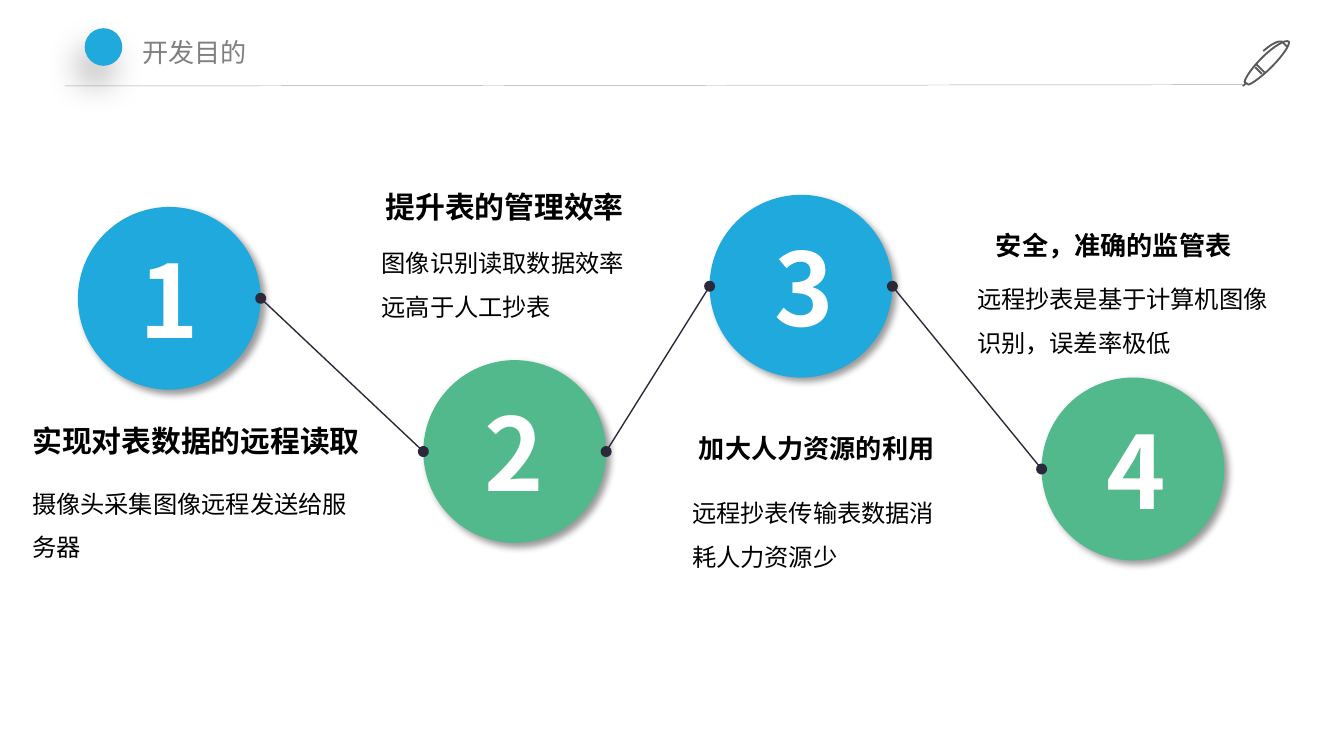
from lxml import etree
from pptx import Presentation
from pptx.dml.color import RGBColor
from pptx.enum import shapes, text
from pptx.oxml.ns import qn
from pptx.util import Inches, Pt

BLUE = RGBColor(0x20, 0xA9, 0xDD)
GREEN = RGBColor(0x52, 0xB9, 0x8C)
NAVY = RGBColor(0x2B, 0x29, 0x39)
WHITE = RGBColor(0xFF, 0xFF, 0xFF)
BLACK = RGBColor(0, 0, 0)
TITLE_GRAY = RGBColor(0x80, 0x80, 0x80)
RULE_GRAY = RGBColor(0xA6, 0xA6, 0xA6)
PEN_GRAY = RGBColor(0x59, 0x59, 0x59)
SANS = "Noto Sans CJK SC"
DIAMETER = 1.36

# Number runs; circle left and top, colour; heading left, top, width, size;
# detail left, top, width
STEPS = [
    ([("1", 54)], (0.58, 1.54), BLUE,
     "实现对表数据的远程读取", (0.17, 3.05, 2.85, 16),
     "摄像头采集图像远程发送给服务器", (0.17, 3.49, 2.6)),
    ([("2", 54)], (3.15, 2.68), GREEN,
     "提升表的管理效率", (2.8, 1.31, 2.06, 16),
     "图像识别读取数据效率远高于人工抄表", (2.77, 1.7, 2.09)),
    ([(" ", 15), ("3", 54)], (5.28, 1.45), BLUE,
     "加大人力资源的利用", (5.13, 3.13, 1.95, 14),
     "远程抄表传输表数据消耗人力资源少", (5.08, 3.56, 1.99)),
    ([(" ", 15), ("4", 54)], (7.75, 2.81), GREEN,
     "安全，准确的监管表", (7.34, 1.62, 1.96, 14),
     "远程抄表是基于计算机图像识别，误差率极低", (7.2, 1.97, 2.35)),
]

# Pen strokes in inches from the box corner: a start, then cubic curves
PEN_STROKES = [
    ((0.14, 0.26), [((0.09, 0.21),) * 3]),
    ((0.10, 0.19), [((0.16, 0.25),) * 3]),
    ((0.34, 0.02), [((0.32, 0), (0.23, 0.05), (0.14, 0.14)),
                    ((0.07, 0.21), (0.02, 0.28), (0.01, 0.32)),
                    ((0.04, 0.34),) * 3,
                    ((0.07, 0.33), (0.14, 0.28), (0.21, 0.21)),
                    ((0.30, 0.12), (0.35, 0.04), (0.34, 0.02))]),
    ((0.02, 0.33), [((0, 0.35),) * 3]),
    ((0.33, 0.06), [((0.33, 0.06), (0.31, 0.04), (0.29, 0.02)),
                    ((0.29, 0.02), (0.25, 0), (0.15, 0.09))]),
]


def add_shadow(shape, opacity, blur, distance, angle):
    shape.shadow.inherit = False
    effects = shape._element.spPr.find(qn("a:effectLst"))
    shadow = etree.SubElement(
        effects, qn("a:outerShdw"), blurRad=str(Pt(blur)), dist=str(Pt(distance)),
        dir=str(angle * 60000), algn="tl", rotWithShape="0")
    color = etree.SubElement(shadow, qn("a:srgbClr"), val="000000")
    etree.SubElement(color, qn("a:alpha"), val=str(opacity * 1000))


def add_circle(slide, left, top, diameter, color):
    circle = slide.shapes.add_shape(
        shapes.MSO_SHAPE.OVAL, Inches(left), Inches(top), Inches(diameter), Inches(diameter))
    circle.fill.solid()
    circle.fill.fore_color.rgb = color
    circle.line.fill.background()
    return circle


def add_line(slide, start, end, color, width, dotted_ends=False):
    line = slide.shapes.add_connector(
        shapes.MSO_CONNECTOR.STRAIGHT, *(Inches(v) for v in (*start, *end)))
    line.line.color.rgb = color
    line.line.width = Pt(width)
    if dotted_ends:
        for tag in ("a:headEnd", "a:tailEnd"):
            etree.SubElement(line.line._get_or_add_ln(), qn(tag), type="oval")
    etree.SubElement(line._element.spPr, qn("a:effectLst"))


def write(frame, runs, color, bold=False, font=SANS, spacing=None,
          align=text.PP_ALIGN.LEFT, anchor=text.MSO_ANCHOR.TOP, side=0.07):
    """Fill the frame with one paragraph of (words, size) runs."""
    frame.word_wrap = True
    frame.vertical_anchor = anchor
    frame.margin_left = frame.margin_right = Inches(side)
    frame.margin_top = frame.margin_bottom = Inches(0.04)
    paragraph = frame.paragraphs[0]
    paragraph.alignment = align
    if spacing:
        paragraph.line_spacing = spacing
    for words, size in runs:
        run = paragraph.add_run()
        run.text = words
        run.font.name = font
        run.font.size = Pt(size)
        run.font.bold = bold
        run.font.color.rgb = color
        etree.SubElement(run.font._element, qn("a:ea"), typeface=SANS)


def add_text(slide, left, top, width, height, words, size, **style):
    box = slide.shapes.add_textbox(Inches(left), Inches(top), Inches(width), Inches(height))
    write(box.text_frame, [(words, size)], BLACK, **style)
    box.text_frame.auto_size = text.MSO_AUTO_SIZE.SHAPE_TO_FIT_TEXT


def curve_points(start, curves, steps=8):
    """Sample a chain of cubic curves, in EMU."""
    points = []
    for a, b, end in curves:
        for i in range(1, steps + 1):
            t = i / steps
            weights = ((1 - t) ** 3, 3 * t * (1 - t) ** 2, 3 * t * t * (1 - t), t ** 3)
            points.append(tuple(
                Inches(sum(w * p[axis] for w, p in zip(weights, (start, a, b, end))))
                for axis in (0, 1)))
        start = end
    return points


def add_pen(slide, left, top):
    builder = None
    for start, curves in PEN_STROKES:
        x, y = (Inches(v) for v in start)
        if builder is None:
            builder = slide.shapes.build_freeform(x, y)
        else:
            builder.move_to(x, y)
        builder.add_line_segments(curve_points(start, curves), close=start == curves[-1][-1])
    pen = builder.convert_to_shape(Inches(left), Inches(top))
    pen.fill.background()
    pen.line.color.rgb = PEN_GRAY
    pen.line.width = Pt(1)
    pen.shadow.inherit = False


def add_header(slide, left, top, width):
    base = top + 0.43
    add_line(slide, (left, base), (left + width, base - 0.01), RULE_GRAY, 0.25)
    add_pen(slide, left + width, top + 0.08)
    dot = add_circle(slide, left + 0.15, top, 0.28, BLUE)
    add_shadow(dot, 27, 18, 11, 113)
    title = slide.shapes.title
    title.left, title.top = Inches(left + 0.49), Inches(top + 0.02)
    title.width, title.height = Inches(2.43), Inches(0.32)
    write(title.text_frame, [("开发目的", 14)], TITLE_GRAY, side=0.09)


def add_step(slide, number, corner, color, heading, heading_box, detail, detail_box):
    circle = add_circle(slide, *corner, DIAMETER, color)
    add_shadow(circle, 40, 4, 3, 45)
    write(circle.text_frame, number, WHITE, bold=True,
          align=text.PP_ALIGN.CENTER, anchor=text.MSO_ANCHOR.MIDDLE)
    *place, size = heading_box
    add_text(slide, *place, 0.4 if size == 16 else 0.36, heading, size,
             bold=True, font="Arial", spacing=1.2)
    add_text(slide, *detail_box, 0.73, detail, 13, spacing=1.5)


def add_links(slide, corners):
    radius = DIAMETER / 2
    for (x1, y1), (x2, y2) in zip(corners, corners[1:]):
        add_line(slide, (x1 + DIAMETER, y1 + radius), (x2, y2 + radius), NAVY, 0.75, True)


def main():
    deck = Presentation()
    deck.slide_width = Inches(10)
    deck.slide_height = deck.slide_width * 9 // 16
    slide = deck.slides.add_slide(deck.slide_layouts[5])
    add_header(slide, 0.48, 0.21, 8.77)
    for step in STEPS:
        add_step(slide, *step)
    add_links(slide, [corner for _, corner, *_ in STEPS])
    deck.save("out.pptx")


if __name__ == "__main__":
    main()
